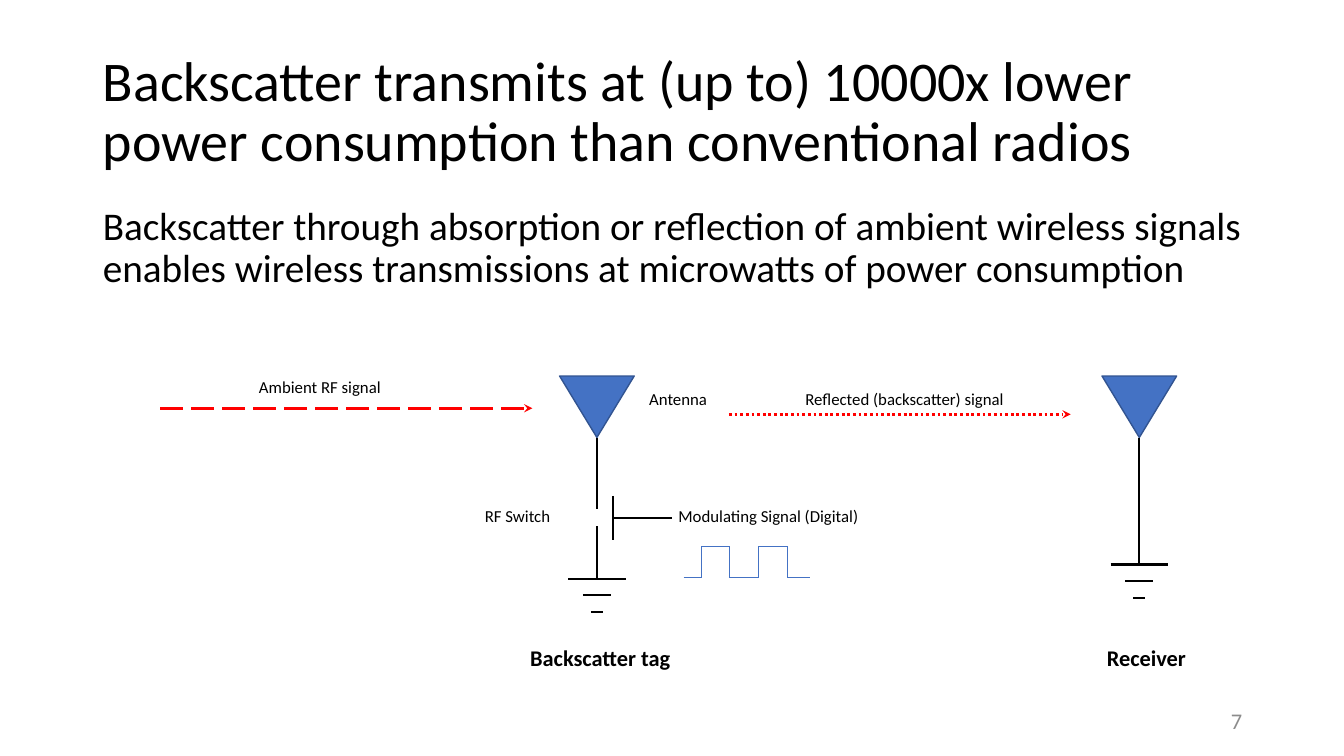
from dataclasses import dataclass
from itertools import pairwise

from lxml.etree import SubElement
from pptx import Presentation
from pptx.dml.color import RGBColor
from pptx.enum.dml import MSO_LINE
from pptx.enum.shapes import MSO_CONNECTOR as CONN, MSO_SHAPE as SHAPE
from pptx.enum.text import MSO_ANCHOR as ANCHOR, MSO_AUTO_SIZE as AUTO, PP_ALIGN as ALIGN
from pptx.oxml.ns import qn
from pptx.util import Inches, Pt


@dataclass(frozen=True)
class Theme:
    """Colours, font and type sizes of the slide."""
    font: str = "Calibri"
    ink: str = "000000"
    blue: str = "4472C4"
    edge: str = "325491"
    signal: str = "FF0000"
    grey: str = "8C8C8C"
    title: int = 40
    body: int = 28
    caption: int = 16
    label: int = 12


THEME = Theme()


def write(sp, text, size, color=THEME.ink, bold=False, align=ALIGN.LEFT,
          anchor=ANCHOR.TOP, spacing=None):
    """Fill a shape with one formatted paragraph."""
    tf = sp.text_frame
    tf.word_wrap, tf.auto_size, tf.vertical_anchor = True, AUTO.NONE, anchor
    p = tf.paragraphs[0]
    p.alignment = align
    if spacing:
        p.line_spacing = spacing
    r = p.add_run()
    r.text = text
    r.font.name, r.font.size, r.font.bold = THEME.font, Pt(size), bold
    r.font.color.rgb = RGBColor.from_string(color)
    return p


def place(sp, left, top, width, height):
    """Move a placeholder to a box in inches."""
    sp.left, sp.top, sp.width, sp.height = map(Inches, (left, top, width, height))


def add_label(slide, text, left, top, width, height=0.3, size=THEME.label, **fmt):
    """Add a text box with one line of text."""
    sp = slide.shapes.add_textbox(*map(Inches, (left, top, width, height)))
    write(sp, text, size, **fmt)


def add_line(slide, start, end, color=THEME.ink, width=1.5):
    """Add a straight line without a shadow between two points."""
    sp = slide.shapes.add_connector(CONN.STRAIGHT, *map(Inches, (*start, *end)))
    sp.line.color.rgb = RGBColor.from_string(color)
    sp.line.width = Pt(width)
    SubElement(sp._element.spPr, qn("a:effectLst"))
    return sp


def add_signal(slide, left, top, width, dash):
    """Add a dashed horizontal arrow for a radio signal."""
    sp = add_line(slide, (left, top), (left + width, top), THEME.signal, 2)
    sp.line.dash_style = dash
    SubElement(sp.line._get_or_add_ln(), qn("a:tailEnd"), type="stealth")


def add_antenna(slide, center, top, width=0.74, height=0.61):
    """Add a triangle that points down, centred on its mast."""
    box = map(Inches, (center - width / 2, top, width, height))
    sp = slide.shapes.add_shape(SHAPE.ISOSCELES_TRIANGLE, *box)
    sp.rotation = 180
    sp.shadow.inherit = False
    sp.fill.solid()
    sp.fill.fore_color.rgb = RGBColor.from_string(THEME.blue)
    sp.line.color.rgb = RGBColor.from_string(THEME.edge)
    sp.line.width = Pt(1)


def add_ground(slide, center, top, step=0.165):
    """Add three shrinking bars that mark the ground."""
    for i, width in enumerate((0.57, 0.28, 0.12)):
        y = top + i * step
        add_line(slide, (center - width / 2, y), (center + width / 2, y))


def add_wave(slide, left, top, height=0.31):
    """Add a square wave with two pulses."""
    low = top + height
    edges = [left + dx for dx in (0.18, 0.45, 0.74, 1.03)]
    points, y = [(left, low)], low
    for x in edges:
        points.append((x, y))
        y = top if y == low else low
        points.append((x, y))
    points.append((left + 1.25, low))
    for start, end in pairwise(points):
        add_line(slide, start, end, THEME.blue, 0.5)


def add_tag(slide, center, top):
    """Draw the backscatter tag with its switch and modulating signal."""
    gate, middle = center + 0.16, top + 1.41
    add_antenna(slide, center, top)
    add_line(slide, (center, top + 0.62), (center, top + 1.32))
    add_line(slide, (center, top + 1.49), (center, top + 2.01))
    add_ground(slide, center, top + 2.01)
    add_line(slide, (gate, middle - 0.22), (gate, middle + 0.22))
    add_line(slide, (gate, middle), (gate + 0.59, middle))
    add_wave(slide, center + 0.86, top + 1.69)
    add_label(slide, "Antenna", center + 0.42, top + 0.08, 0.89)
    add_label(slide, "RF Switch", center - 1.21, top + 1.24, 0.89)
    add_label(slide, "Modulating Signal (Digital)", center + 0.71, top + 1.24, 2.11)
    add_label(slide, "Backscatter tag", center - 0.76, top + 2.61, 1.76, 0.37,
              THEME.caption, bold=True)


def add_receiver(slide, center, top):
    """Draw the receiver with its mast and ground."""
    add_antenna(slide, center, top)
    add_line(slide, (center, top + 0.62), (center, top + 1.87))
    add_ground(slide, center, top + 1.87)
    add_label(slide, "Receiver", center - 0.42, top + 2.61, 1.26, 0.37,
              THEME.caption, bold=True)


def add_heading(slide, left, top, width):
    """Fill the title and body placeholders."""
    title, body = slide.shapes.title, slide.placeholders[1]
    place(title, left, top, width, 1.45)
    write(title, "Backscatter transmits at (up to) 10000x lower power consumption "
          "than conventional radios", THEME.title, anchor=ANCHOR.MIDDLE, spacing=0.9)
    place(body, left, top + 1.6, width, 4.76)
    p = write(body, "Backscatter through absorption or reflection of ambient wireless "
              "signals enables wireless transmissions at microwatts of power consumption",
              THEME.body, spacing=0.9)
    p.space_before = Pt(0)
    pPr = p._p.get_or_add_pPr()
    pPr.set("marL", "0")
    pPr.set("indent", "0")
    SubElement(pPr, qn("a:buNone"))


def main():
    """Build the slide and save it."""
    prs = Presentation()
    prs.slide_width, prs.slide_height = Inches(13.33), Inches(7.5)
    slide = prs.slides.add_slide(prs.slide_layouts[1])
    add_heading(slide, 0.92, 0.4, 11.5)
    add_tag(slide, 5.92, 3.73)
    add_receiver(slide, 11.3, 3.73)
    add_signal(slide, 1.59, 4.05, 3.69, MSO_LINE.LONG_DASH)
    add_label(slide, "Ambient RF signal", 2.47, 3.69, 2.36)
    add_signal(slide, 7.23, 4.11, 3.39, MSO_LINE.ROUND_DOT)
    add_label(slide, "Reflected (backscatter) signal", 7.89, 3.81, 2.36)
    add_label(slide, "7", 9.42, 6.95, 3, 0.4, THEME.caption, color=THEME.grey,
              align=ALIGN.RIGHT, anchor=ANCHOR.MIDDLE)
    prs.save("out.pptx")


if __name__ == "__main__":
    main()
